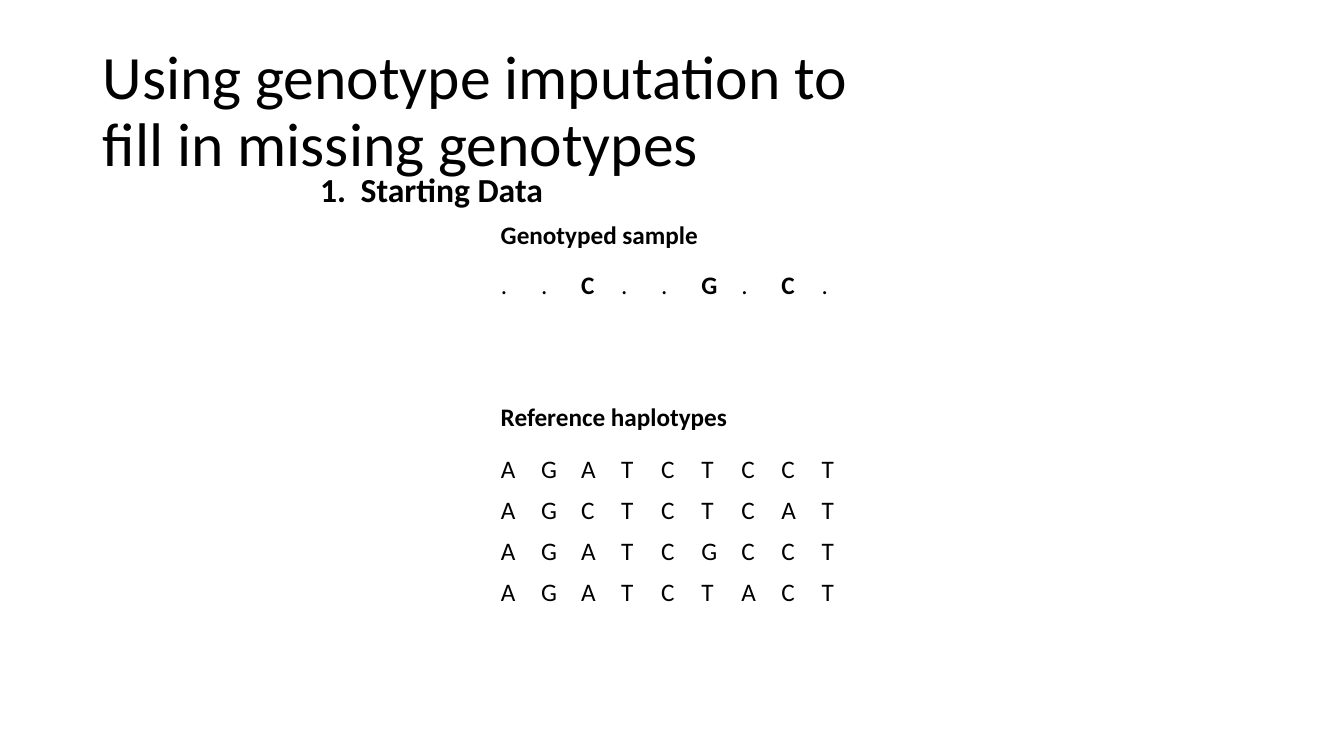
import pptx
import pptx.util
import pptx.dml.color
import pptx.enum.text
import pptx.oxml
import pptx.oxml.ns

Cm = pptx.util.Cm
Pt = pptx.util.Pt

COLORS = {"ink": "000000", "paper": "FFFFFF"}
FONT = "Calibri"

TITLE = ["Using genotype imputation to", "fill in missing genotypes"]
STEP = "1.\tStarting Data"
SAMPLE = ["..C..G.C."]
HAPS = ["AGATCTCCT", "AGCTCTCAT", "AGATCGCCT", "AGATCTACT"]
FILLED = {(1, col) for col in range(4)}

LEFT = 12.37
COL, ROW = 1.01, 1.03
# text, left, top, width, height, size
LABELS = [
    ("Genotyped sample", LEFT, 5.41, 5.59, 1.02, 18),
    ("Reference haplotypes", LEFT, 9.98, 6.25, 1.02, 18),
    (STEP, 7.82, 4.14, 6.2, 1.27, 24),
]
# rows, top, bold letters, filled cells
GRIDS = [(HAPS, 11.33, "", FILLED), (SAMPLE, 6.68, "CG", set())]


def color(name):
    return pptx.dml.color.RGBColor.from_string(COLORS[name])


def write(para, text, size, bold=False):
    run = para.add_run()
    run.text = text
    run.font.name = FONT
    run.font.size = Pt(size)
    run.font.bold = bold
    run.font.color.rgb = color("ink")


def add_title(slide):
    title = slide.shapes.title
    title.left, title.top = Cm(2.33), Cm(1.01)
    title.width, title.height = Cm(29.21), Cm(3.68)
    frame = title.text_frame
    frame.auto_size = pptx.enum.text.MSO_AUTO_SIZE.NONE
    frame.vertical_anchor = pptx.enum.text.MSO_ANCHOR.MIDDLE
    para = frame.paragraphs[0]
    para.alignment = pptx.enum.text.PP_ALIGN.LEFT
    para.line_spacing = 0.9
    for i, line in enumerate(TITLE):
        if i:
            para.add_line_break()
        write(para, line, 44)


def add_label(slide, text, left, top, width, height, size):
    box = slide.shapes.add_textbox(Cm(left), Cm(top), Cm(width), Cm(height))
    frame = box.text_frame
    frame.word_wrap = False
    frame.auto_size = pptx.enum.text.MSO_AUTO_SIZE.SHAPE_TO_FIT_TEXT
    para = frame.paragraphs[0]
    if "\t" in text:
        tabs = pptx.oxml.parse_xml(
            f'<a:tabLst {pptx.oxml.ns.nsdecls("a")}>'
            f'<a:tab pos="{Cm(1.02)}" algn="l"/></a:tabLst>')
        para._p.get_or_add_pPr().append(tabs)
    write(para, text, size, True)


def add_grid(slide, rows, top, strong, filled):
    cols = len(rows[0])
    table = slide.shapes.add_table(
        len(rows), cols, Cm(LEFT), Cm(top),
        Cm(COL * cols), Cm(ROW * len(rows))).table
    table.first_row = False
    table.horz_banding = False
    for r, row in enumerate(rows):
        for c, base in enumerate(row):
            cell = table.cell(r, c)
            if (r, c) in filled:
                cell.fill.solid()
                cell.fill.fore_color.rgb = color("paper")
            else:
                cell.fill.background()
            write(cell.text_frame.paragraphs[0], base, 18, base in strong)


def main():
    deck = pptx.Presentation()
    deck.slide_width, deck.slide_height = Cm(33.87), Cm(19.05)
    slide = deck.slides.add_slide(deck.slide_layouts.get_by_name("Title Only"))
    add_title(slide)
    for grid in GRIDS:
        add_grid(slide, *grid)
    for label in LABELS:
        add_label(slide, *label)
    deck.save("out.pptx")


if __name__ == "__main__":
    main()
